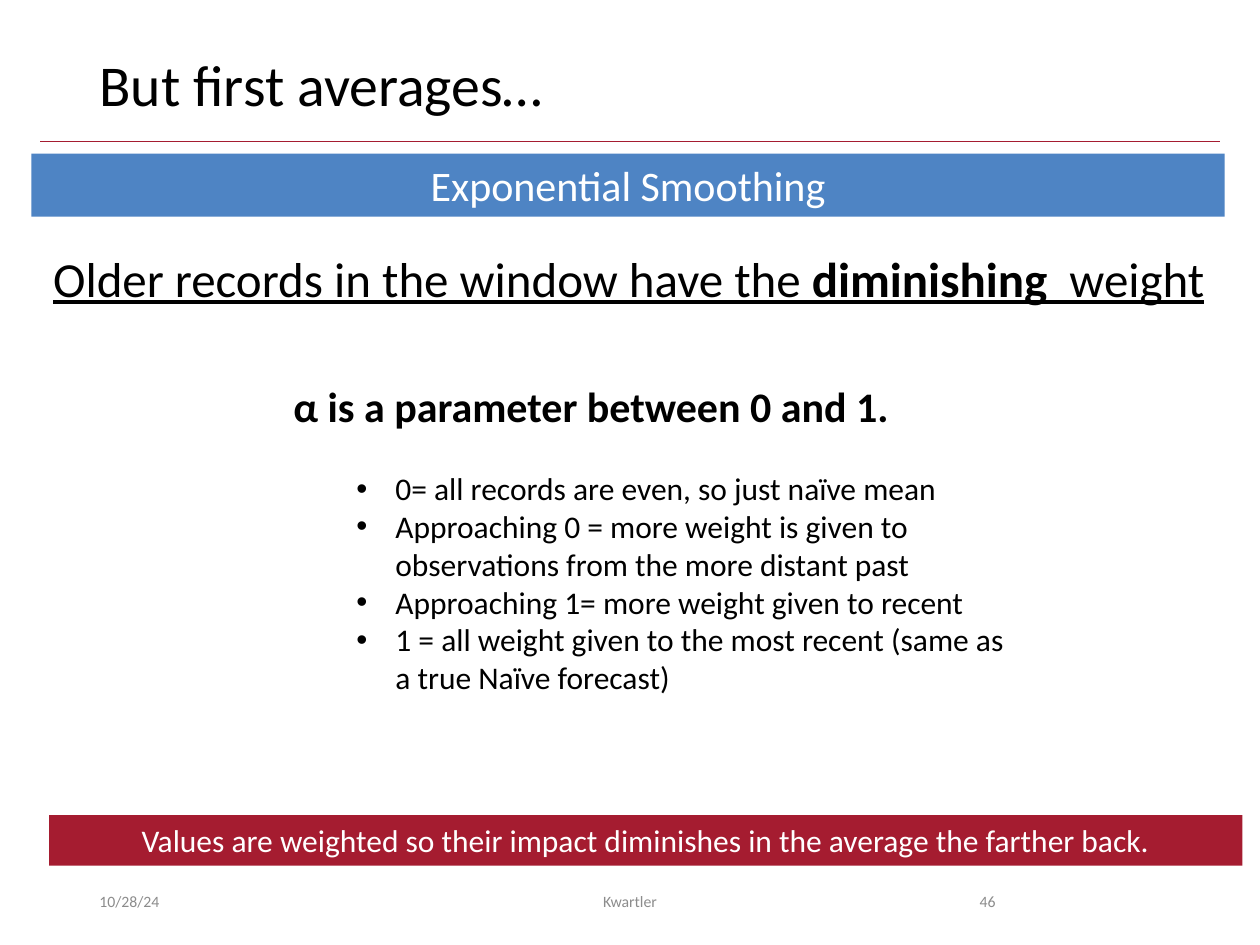
import pptx
import pptx.util
import pptx.dml.color
import pptx.enum.shapes
import pptx.enum.text
import pptx.oxml.ns
import lxml.etree
from dataclasses import dataclass

Inches = pptx.util.Inches
Pt = pptx.util.Pt
Align = pptx.enum.text.PP_ALIGN
Anchor = pptx.enum.text.MSO_ANCHOR
qn = pptx.oxml.ns.qn


@dataclass(frozen=True)
class Theme:
    font: str = "Calibri"
    ink: str = "000000"
    paper: str = "FFFFFF"
    muted: str = "8C8C8C"
    blue: str = "4E84C4"
    crimson: str = "A51C30"
    title: float = 33
    statement: float = 28
    heading: float = 24
    body: float = 18
    footer: float = 9


THEME = Theme()


def rgb(color):
    return pptx.dml.color.RGBColor.from_string(color)


def style(paragraph, size, color=THEME.ink, bold=False, underline=False):
    for run in paragraph.runs:
        run.font.name = THEME.font
        run.font.size = Pt(size)
        run.font.color.rgb = rgb(color)
        run.font.bold = bold
        run.font.underline = underline


def add_text(slide, box, text, size, color=THEME.ink, align=Align.LEFT,
             anchor=Anchor.TOP):
    frame = slide.shapes.add_textbox(*map(Inches, box)).text_frame
    frame.word_wrap = True
    frame.vertical_anchor = anchor
    frame.text = text
    frame.paragraphs[0].alignment = align
    style(frame.paragraphs[0], size, color)
    return frame


def add_band(slide, box, text, fill, size):
    band = slide.shapes.add_shape(
        pptx.enum.shapes.MSO_SHAPE.RECTANGLE, *map(Inches, box))
    band.shadow.inherit = False
    band.fill.solid()
    band.fill.fore_color.rgb = rgb(fill)
    band.line.fill.background()
    frame = band.text_frame
    frame.word_wrap = True
    frame.vertical_anchor = Anchor.TOP
    frame.text = text
    frame.paragraphs[0].alignment = Align.CENTER
    style(frame.paragraphs[0], size, THEME.paper)


def add_rule(slide, left, right, y):
    rule = slide.shapes.add_connector(
        pptx.enum.shapes.MSO_CONNECTOR.STRAIGHT,
        Inches(left), Inches(y), Inches(right), Inches(y))
    rule.line.color.rgb = rgb(THEME.crimson)
    rule.line.width = Pt(0.5)
    lxml.etree.SubElement(rule._element.spPr, qn("a:effectLst"))


def add_bullet(frame, text):
    bullet = frame.add_paragraph()
    bullet.text = text
    bullet.level = 1
    properties = bullet._p.get_or_add_pPr()
    properties.set("marL", str(Inches(0.81)))
    properties.set("indent", str(Inches(-0.31)))
    lxml.etree.SubElement(properties, qn("a:buFont")).set("typeface", "Arial")
    lxml.etree.SubElement(properties, qn("a:buChar")).set("char", "•")
    style(bullet, THEME.body)
    return bullet


def add_statement(slide):
    frame = add_text(slide, (0.27, 1.92, 9.44, 0.57),
                     "Older records in the window have the ",
                     THEME.statement, align=Align.CENTER)
    statement = frame.paragraphs[0]
    for part in ("diminishing", "  weight"):
        statement.add_run().text = part
    style(statement, THEME.statement, underline=True)
    statement.runs[1].font.bold = True


def add_alpha_notes(slide):
    frame = add_text(slide, (2.23, 2.97, 5.99, 2.63),
                     "α is a parameter between 0 and 1.", THEME.heading)
    style(frame.paragraphs[0], THEME.heading, bold=True)
    notes = [add_bullet(frame, text) for text in (
        "0= all records are even, so just naïve mean",
        "Approaching 0 = more weight is given to observations from the more distant past",
        "Approaching 1= more weight given to recent",
        "1 = all weight given to the most recent (same as a true Naïve forecast)",
    )]
    notes[0].space_before = Pt(22)


def add_footer(slide):
    for left, width, text, align in (
        (0.69, 2.25, "10/28/24", Align.LEFT),
        (3.31, 3.38, "Kwartler", Align.CENTER),
        (7.06, 0.94, "46", Align.RIGHT),
    ):
        add_text(slide, (left, 6.95, width, 0.4), text, THEME.footer,
                 THEME.muted, align, Anchor.MIDDLE)


def main():
    deck = pptx.Presentation()
    deck.slide_width, deck.slide_height = Inches(10), Inches(7.5)
    slide = deck.slides.add_slide(deck.slide_layouts[6])

    # Title and rule
    add_rule(slide, 0.32, 9.68, 1.12)
    title = add_text(slide, (0.69, 0.4, 8.62, 0.65),
                     "But first averages…", THEME.title)
    title.paragraphs[0].line_spacing = 0.9

    # Method and its explanation
    add_band(slide, (0.25, 1.22, 9.47, 0.5), "Exponential Smoothing",
             THEME.blue, THEME.heading)
    add_statement(slide)
    add_alpha_notes(slide)

    # Takeaway and footer
    add_band(slide, (0.39, 6.47, 9.47, 0.4),
             "Values are weighted so their impact diminishes in the average the farther back.",
             THEME.crimson, THEME.body)
    add_footer(slide)

    deck.save("out.pptx")


if __name__ == "__main__":
    main()
